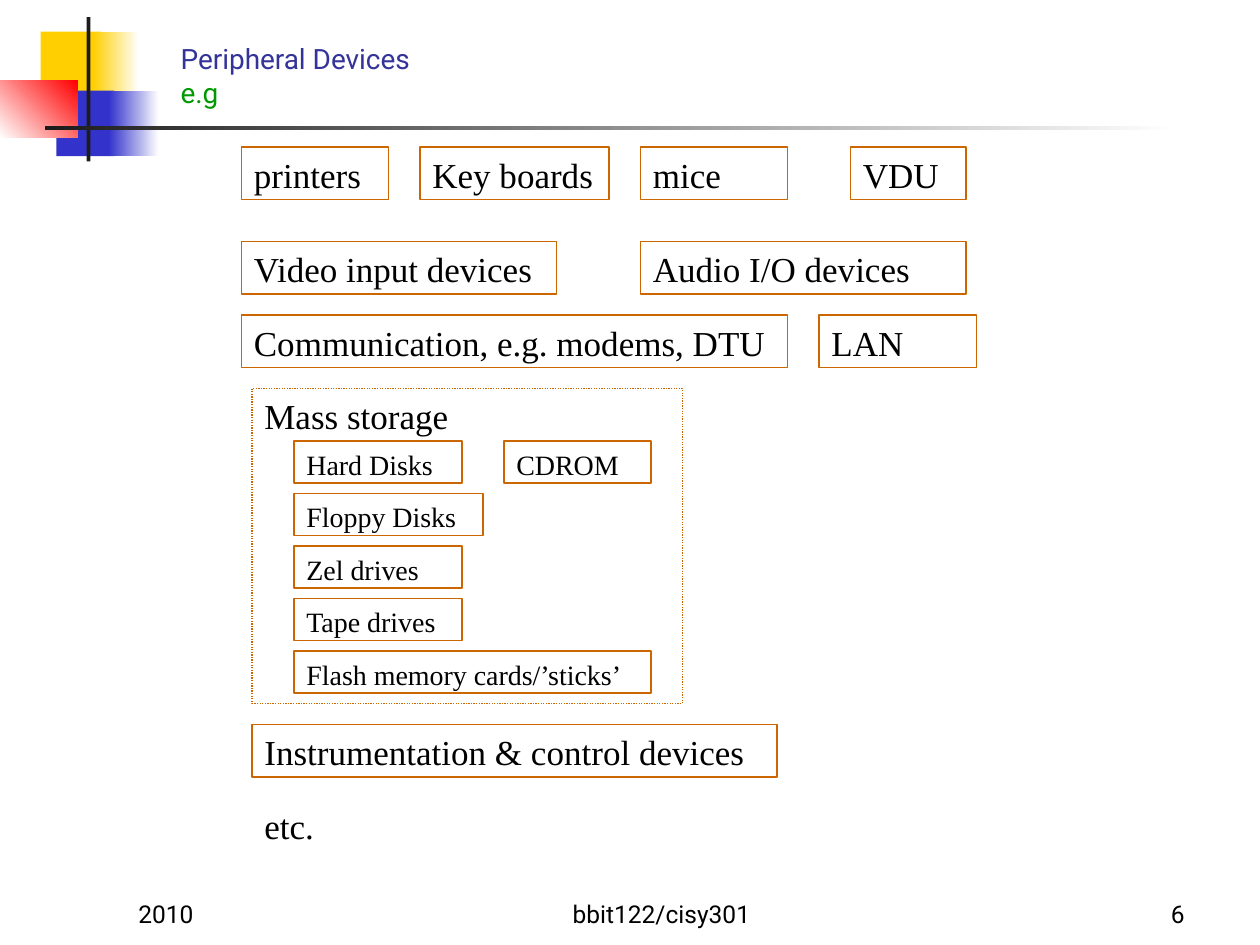
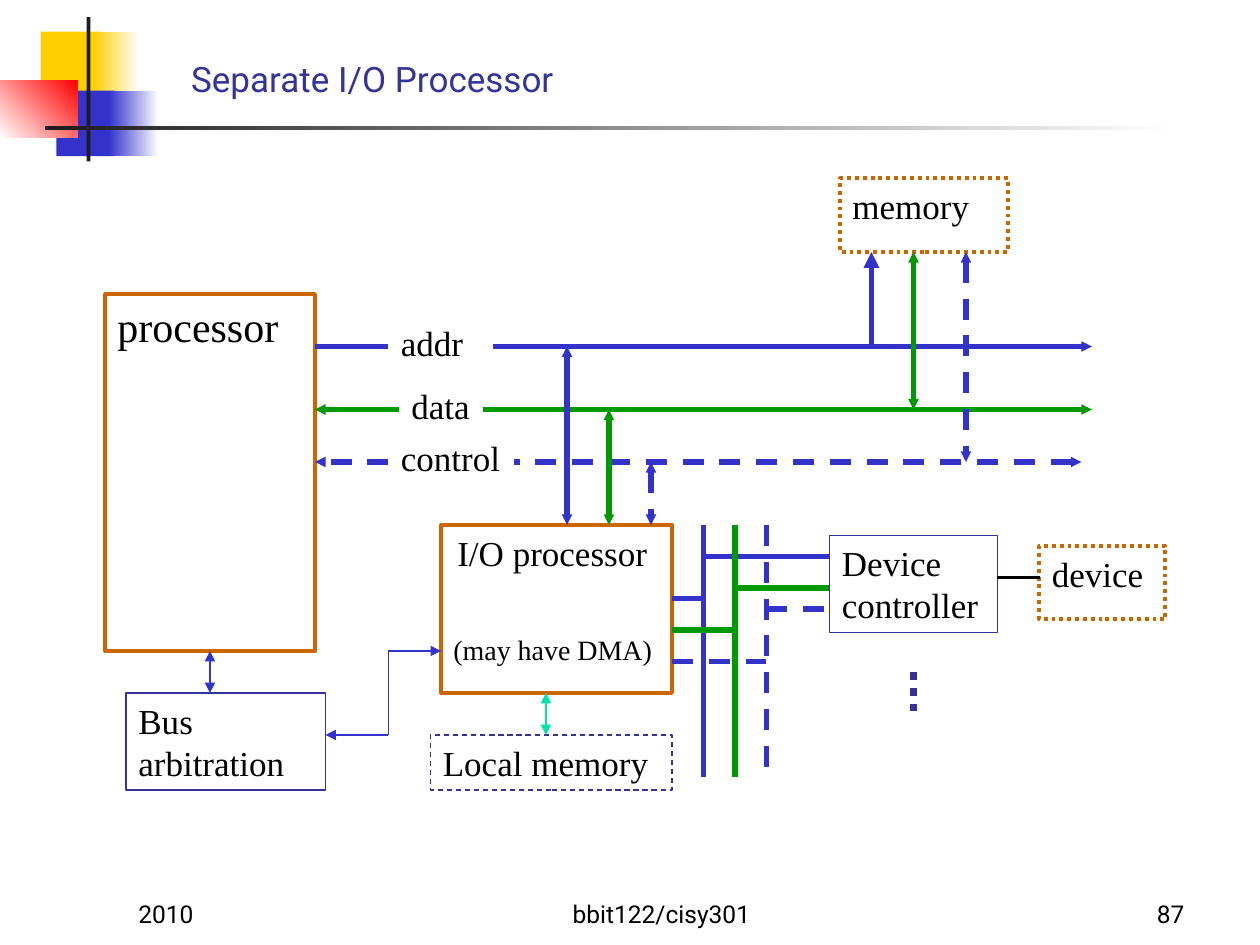
from dataclasses import dataclass

from lxml.etree import SubElement
from pptx import Presentation
from pptx.dml.color import RGBColor
from pptx.enum.dml import MSO_LINE
from pptx.enum.shapes import MSO_CONNECTOR, MSO_SHAPE
from pptx.enum.text import MSO_ANCHOR, MSO_AUTO_SIZE, PP_ALIGN
from pptx.oxml.ns import qn
from pptx.util import Pt

SCALE = 9525  # EMU in one px, 96 px to the inch
DASH, DOT = MSO_LINE.DASH, MSO_LINE.ROUND_DOT


@dataclass(frozen=True)
class Theme:
    ink: str = "000000"
    paper: str = "FFFFFF"
    navy: str = "333399"
    blue: str = "3333CC"
    green: str = "009900"
    orange: str = "CC6600"
    mint: str = "00E4A8"
    gold: str = "FFCF01"
    red: str = "FF0000"
    coal: str = "1C1C1C"
    sans: str = "Roboto"
    serif: str = "Times New Roman"
    foot: int = 14
    small: int = 16
    base: int = 20
    large: int = 24
    thin: float = 0.75
    mid: float = 2.25
    bus: float = 3
    thick: float = 4.5


T = Theme()
# Each bus signal: colour and dash
ADDR, DATA, CTRL = (T.blue, None), (T.green, None), (T.blue, DASH)


# ---- Shared helpers ----
def px(*vals):
    return [round(v * SCALE) for v in vals]


def move(box, x, y):
    """Turn a point inside a box into a point on the slide."""
    return box[0] + x, box[1] + y


def put(item, **form):
    for name, val in form.items():
        setattr(item, name, val)


def write(shape, lines, size, font, color=T.ink, align=PP_ALIGN.LEFT,
          anchor=MSO_ANCHOR.TOP):
    """Fill a shape with paragraphs; a line is text or (text, format)."""
    frame = shape.text_frame
    put(frame, word_wrap=True, auto_size=MSO_AUTO_SIZE.NONE, vertical_anchor=anchor)
    for n, line in enumerate(lines):
        text, form = line if isinstance(line, tuple) else (line, {})
        para = frame.add_paragraph() if n else frame.paragraphs[0]
        put(para, alignment=align, space_before=Pt(form.get("gap", 0)))
        if "indent" in form:
            para._p.get_or_add_pPr().set("marL", str(px(form["indent"])[0]))
        run = para.add_run()
        run.text = text
        put(run.font, name=font, size=Pt(form.get("size", size)))
        run.font.color.rgb = RGBColor.from_string(form.get("color", color))


def stroke(line, color, width, dash=None):
    line.color.rgb = RGBColor.from_string(color)
    put(line, width=Pt(width), dash_style=dash)


def plain(slide, box):
    shape = slide.shapes.add_shape(MSO_SHAPE.RECTANGLE, *px(*box))
    shape.shadow.inherit = False
    return shape


def frame(slide, box, lines, size=T.base, color=T.orange, width=T.thin, dash=None):
    shape = plain(slide, box)
    shape.fill.background()
    stroke(shape.line, color, width, dash)
    write(shape, lines, size, T.serif)


def label(slide, box, text, size=T.base, font=T.serif, **form):
    write(slide.shapes.add_textbox(*px(*box)), [text], size, font, **form)


def link(slide, box, start, end, ink, width=T.bus, ends="", head="sm"):
    """Draw a line; ends holds 'h' and 't' for arrows at start and end."""
    line = slide.shapes.add_connector(
        MSO_CONNECTOR.STRAIGHT, *px(*move(box, *start), *move(box, *end)))
    stroke(line.line, ink[0], width, ink[1])
    props = line.element.spPr
    for key, tag in (("h", "a:headEnd"), ("t", "a:tailEnd")):
        if key in ends:
            SubElement(props.find(qn("a:ln")), qn(tag), type="triangle", w=head, len=head)
    SubElement(props, qn("a:effectLst"))


# ---- Master art, title and footer ----
def blend(shape, first, last, angle):
    shape.fill.gradient()
    shape.fill.gradient_angle = angle
    for stop, color in zip(shape.fill.gradient_stops, (first, last)):
        stop.color.rgb = RGBColor.from_string(color)


def brand(slide, master):
    """Draw the corner blocks and rules, then hand them to the master."""
    parts = [
        ((31, 24, 46, 50), T.gold, None, 0),
        ((71, 24, 35, 50), T.gold, T.paper, 0),
        ((43, 69, 44, 50), T.blue, None, 0),
        ((83, 69, 38, 50), T.blue, T.paper, 0),
        ((0, 61, 59, 44), T.paper, T.red, 45),
        ((66, 13, 3, 110), T.coal, None, 0),
        ((34, 96, 864, 3), T.coal, T.paper, 0),
    ]
    for box, first, last, angle in parts:
        shape = plain(slide, box)
        shape.line.fill.background()
        if last:
            blend(shape, first, last, angle)
        else:
            shape.fill.solid()
            shape.fill.fore_color.rgb = RGBColor.from_string(first)
        master.shapes.element.append(shape.element)


def head(slide, box, lines, size, anchor):
    title = slide.shapes.title
    put(title, **dict(zip(("left", "top", "width", "height"), px(*box))))
    write(title, lines, size, T.sans, T.navy, anchor=anchor)


def foot(slide, box, page):
    parts = [(0, 200, "2010", PP_ALIGN.LEFT),
             (256, 304, "bbit122/cisy301", PP_ALIGN.CENTER),
             (616, 200, page, PP_ALIGN.RIGHT)]
    for x, w, text, align in parts:
        label(slide, (*move(box, x, 0), w, box[3]), text, T.foot, T.sans,
              align=align, anchor=MSO_ANCHOR.BOTTOM)


# ---- Slide of peripheral devices ----
def store(slide, box):
    """Dotted group with one drive on each row."""
    frame(slide, box, ["Mass storage"], dash=DOT)
    drives = [("Hard Disks", 128), ("Floppy Disks", 144), ("Zel drives", 128),
              ("Tape drives", 128), ("Flash memory cards/’sticks’", 272)]
    cells = [(32, 40 + 40 * n, w, text) for n, (text, w) in enumerate(drives)]
    for x, y, w, text in cells + [(192, 40, 112, "CDROM")]:
        frame(slide, (*move(box, x, y), w, 32), [text], T.small)


def gear(slide, box):
    rows = {
        0: [(0, 112, "printers"), (136, 144, "Key boards"),
            (304, 112, "mice"), (464, 88, "VDU")],
        72: [(0, 240, "Video input devices"), (304, 248, "Audio I/O devices")],
        128: [(0, 416, "Communication, e.g. modems, DTU"), (440, 120, "LAN")],
        440: [(8, 400, "Instrumentation & control devices")],
    }
    for y, cells in rows.items():
        for x, w, text in cells:
            frame(slide, (*move(box, x, y), w, 40), [text])
    store(slide, (*move(box, 8, 184), 328, 240))
    label(slide, (*move(box, 8, 496), 120, 40), "etc.")


# ---- Slide of the I/O processor ----
def units(slide, box):
    """Boxes of the diagram."""
    bold = {"width": T.mid}
    dots = {"width": T.mid, "dash": DOT}
    side = {"color": T.navy}
    chip = [("I/O processor", {"indent": 3}),
            ("(may have DMA)", {"size": T.small, "gap": 34})]
    parts = [
        ((0, 88, 160, 272), ["processor"], {"size": T.large, **bold}),
        ((256, 264, 176, 128), chip, bold),
        ((560, 0, 128, 56), ["memory"], dots),
        ((712, 280, 96, 56), ["device"], dots),
        ((552, 272, 128, 74), ["Device controller"], side),
        ((16, 392, 152, 74), ["Bus arbitration"], side),
        ((248, 424, 184, 42), ["Local memory"], {"dash": DASH, **side}),
    ]
    for (x, y, w, h), lines, form in parts:
        frame(slide, (*move(box, x, y), w, h), lines, **form)


def trunk(slide, box):
    """Main bus: named signals with taps to memory and I/O processor."""
    near, top, chip = 160, 56, 264
    # ink, y, stub end, stub arrow, label box, main start and end
    lanes = [
        (ADDR, 128, 216, "", (216, 104, 80), "addr", 296, 752),
        (DATA, 176, 224, "t", (224, 152, 64), "data", 288, 752),
        (CTRL, 216, 216, "t", (216, 192, 104), "control", 312, 744),
    ]
    for ink, y, stub, tip, (lx, ly, lw), text, left, right in lanes:
        link(slide, box, (stub, y), (near, y), ink, ends=tip)
        link(slide, box, (right, y), (left, y), ink, ends="h")
        label(slide, (*move(box, lx, ly), lw, 42), text)
    taps = [
        (ADDR, 584, 128, top, "t", "med"),
        (DATA, 616, 176, top, "ht", "sm"),
        (CTRL, 656, top, 216, "ht", "sm"),
        (ADDR, 352, chip, 128, "ht", "sm"),
        (DATA, 384, chip, 176, "ht", "sm"),
        (CTRL, 416, 216, chip, "ht", "sm"),
    ]
    for ink, x, start, end, tips, size in taps:
        link(slide, box, (x, start), (x, end), ink, ends=tips, head=size)


def branch(slide, box):
    """Device bus between the I/O processor and the controller."""
    lanes = [(ADDR, 24, 56, 24), (DATA, 48, 80, 48), (CTRL, 72, 104, 64)]
    for ink, x, chip, unit in lanes:
        link(slide, box, (x, 0), (x, box[3]), ink)
        link(slide, box, (0, chip), (x, chip), ink)
        link(slide, box, (x, unit), (box[2], unit), ink)


def wires(slide, box):
    """Side links, and the dots that stand for more devices."""
    blue = (T.blue, None)
    parts = [
        ((80, 392), (80, 360), blue, T.thin, "ht"),
        ((216, 424), (168, 424), blue, T.thin, "t"),
        ((216, 424), (216, 360), blue, T.thin, ""),
        ((216, 360), (256, 360), blue, T.thin, "t"),
        ((336, 392), (336, 424), (T.mint, None), 1, "ht"),
        ((680, 304), (712, 304), (T.ink, None), T.mid, ""),
        ((616, 376), (616, 408), (T.navy, DOT), T.thick, ""),
    ]
    for start, end, ink, width, tips in parts:
        link(slide, box, start, end, ink, width, tips, "med")


def scheme(slide, box):
    units(slide, box)
    trunk(slide, box)
    branch(slide, (*move(box, 432, 264), 120, 192))
    wires(slide, box)


def main():
    deck = Presentation()
    put(deck, **dict(zip(("slide_width", "slide_height"), px(960, 720))))
    plan = [
        ("6", (128, 24, 760, 64),
         ["Peripheral Devices", ("e.g", {"color": T.green})],
         T.small, MSO_ANCHOR.BOTTOM, gear, (184, 112, 560, 536)),
        ("87", (136, 32, 440, 56), ["Separate I/O Processor"],
         T.base, MSO_ANCHOR.MIDDLE, scheme, (80, 136, 808, 466)),
    ]
    for n, (page, spot, lines, size, anchor, draw, box) in enumerate(plan):
        slide = deck.slides.add_slide(deck.slide_layouts[5])
        if n == 0:
            brand(slide, deck.slide_master)
        head(slide, spot, lines, size, anchor)
        foot(slide, (96, 664, 816, 48), page)
        draw(slide, box)
    deck.save("out.pptx")


if __name__ == "__main__":
    main()
